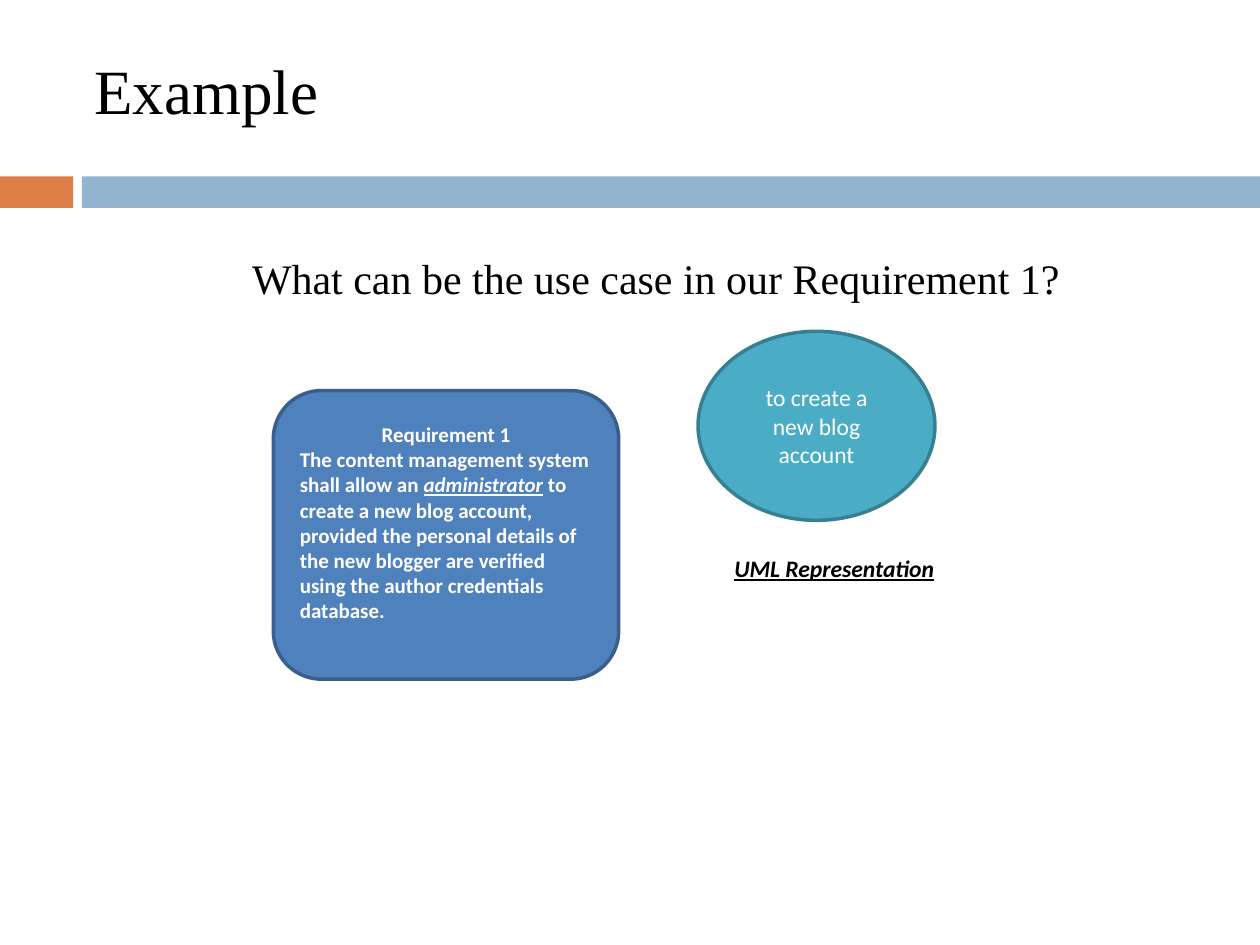
from dataclasses import dataclass

from lxml.etree import SubElement
from pptx import Presentation
from pptx.dml.color import RGBColor
from pptx.enum.shapes import MSO_SHAPE
from pptx.enum.text import MSO_ANCHOR, PP_ALIGN
from pptx.oxml.ns import qn
from pptx.util import Inches, Pt


@dataclass(frozen=True)
class Theme:
    heading_font: str = "Times New Roman"
    text_font: str = "Calibri"
    title_size: float = 36
    question_size: float = 24
    label_size: float = 13.5
    requirement_size: float = 12
    black: str = "000000"
    white: str = "FFFFFF"
    orange: str = "DD7D46"
    pale_blue: str = "92B6D2"
    blue: str = "4F81BD"
    dark_blue: str = "3A5F8C"
    teal: str = "4BACC6"
    dark_teal: str = "377F92"


theme = Theme()


def add_span(para, text, font, size, color, bold=False, accent=False):
    """Add one run; an accent is italic and underlined."""
    span = para.add_run()
    span.text = text
    span.font.name = font
    span.font.size = Pt(size)
    span.font.color.rgb = RGBColor.from_string(color)
    span.font.bold = bold
    span.font.italic = span.font.underline = accent


def add_box(page, kind, place, fill, line=None):
    box = page.shapes.add_shape(kind, *map(Inches, place))
    box.shadow.inherit = False
    box.fill.solid()
    box.fill.fore_color.rgb = RGBColor.from_string(fill)
    if line:
        box.line.color.rgb = RGBColor.from_string(line)
        box.line.width = Pt(2)
    else:
        box.line.fill.background()
    box.text_frame.word_wrap = True
    box.text_frame.vertical_anchor = MSO_ANCHOR.MIDDLE
    return box


deck = Presentation()
deck.slide_width, deck.slide_height = Inches(10), Inches(7.5)
page = deck.slides.add_slide(deck.slide_layouts[1])

# Band under the title
add_box(page, MSO_SHAPE.RECTANGLE, (0, 1.4, 0.58, 0.25), theme.orange)
add_box(page, MSO_SHAPE.RECTANGLE, (0.65, 1.4, 9.35, 0.25), theme.pale_blue)

# Title and question
headings = [
    (page.shapes.title, (0.75, 0.41, 6.47, 0.61), "Example", theme.title_size),
    (page.placeholders[1], (2, 2, 6.75, 0.44),
     "What can be the use case in our Requirement 1?", theme.question_size),
]
for holder, place, text, size in headings:
    holder.left, holder.top, holder.width, holder.height = map(Inches, place)
    frame = holder.text_frame
    frame.margin_left = frame.margin_top = frame.margin_right = frame.margin_bottom = 0
    frame.vertical_anchor = MSO_ANCHOR.TOP
    para = frame.paragraphs[0]
    para.alignment = PP_ALIGN.LEFT
    para.space_before = Pt(0)
    properties = para._p.get_or_add_pPr()
    properties.set("marL", "0")
    properties.set("indent", "0")
    SubElement(properties, qn("a:buNone"))
    add_span(para, text, theme.heading_font, size, theme.black)

# Requirement card
card = add_box(page, MSO_SHAPE.ROUNDED_RECTANGLE, (2.17, 3.1, 2.74, 2.29),
               theme.blue, theme.dark_blue)
card_style = (theme.text_font, theme.requirement_size, theme.white, True)
para = card.text_frame.paragraphs[0]
para.alignment = PP_ALIGN.CENTER
add_span(para, "Requirement 1", *card_style)
para = card.text_frame.add_paragraph()
para.alignment = PP_ALIGN.LEFT
for text, accent in [
    ("The content management system shall allow an ", False),
    ("administrator", True),
    (" to create a new blog account, provided the personal details of the new "
     "blogger are verified using the author credentials database.", False),
]:
    add_span(para, text, *card_style, accent)
para.add_line_break()
para.font.size = Pt(theme.requirement_size)

# Use case
use_case = add_box(page, MSO_SHAPE.OVAL, (5.54, 2.63, 1.88, 1.5),
                   theme.teal, theme.dark_teal)
para = use_case.text_frame.paragraphs[0]
para.alignment = PP_ALIGN.CENTER
add_span(para, "to create a new blog account", theme.text_font,
         theme.label_size, theme.white)

# Caption
caption = page.shapes.add_textbox(Inches(5.73), Inches(4.35), Inches(1.81), Inches(0.56))
caption.text_frame.word_wrap = False
add_span(caption.text_frame.paragraphs[0], "UML Representation", theme.text_font,
         theme.label_size, theme.black, bold=True, accent=True)

deck.save("out.pptx")
